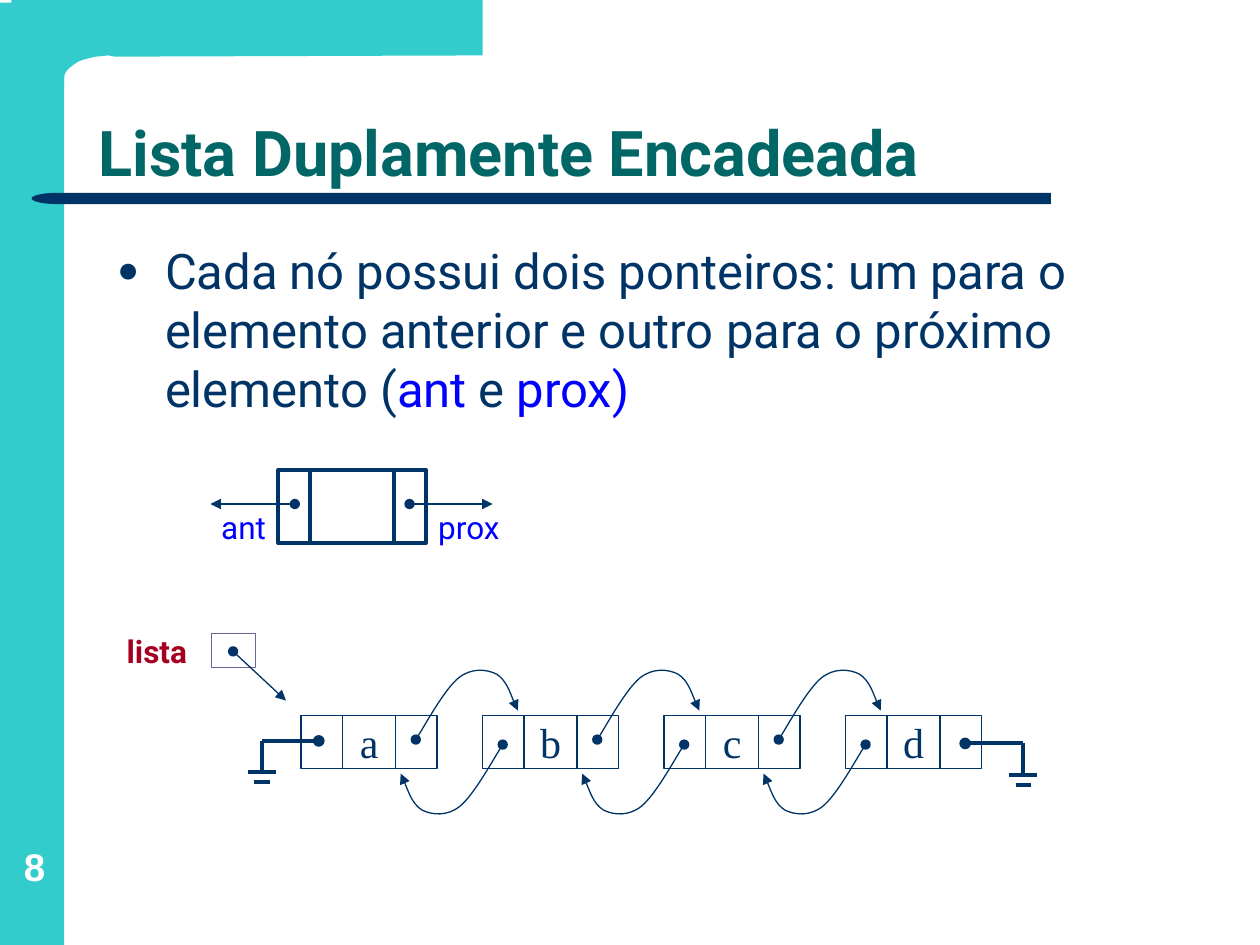
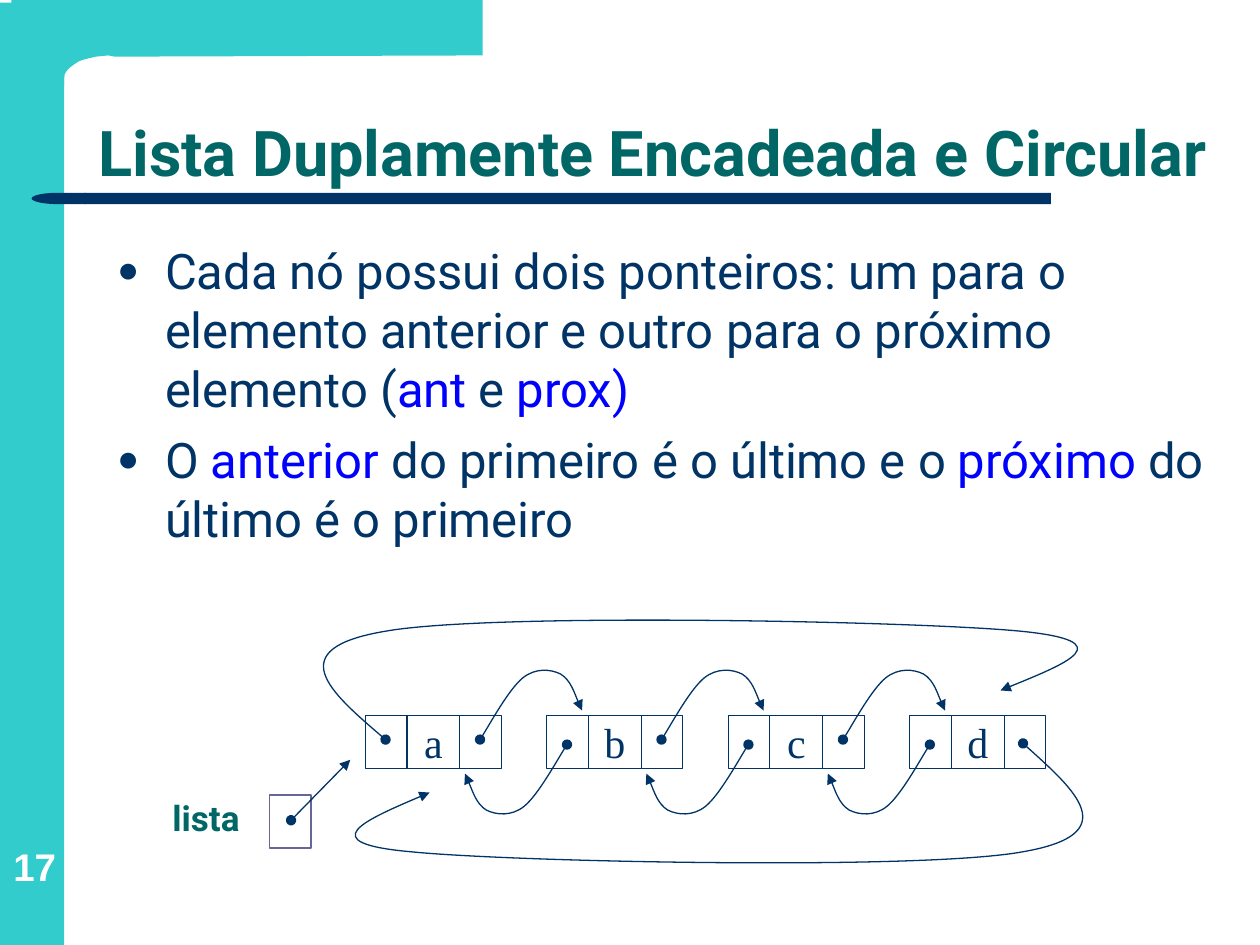
import dataclasses
import typing

import lxml.etree
import pptx
import pptx.dml.color
import pptx.enum.shapes
import pptx.enum.text
import pptx.oxml.ns
import pptx.shapes.autoshape
import pptx.slide
import pptx.text.text
import pptx.util

SCALE = 9144
HUES = {
    "aqua": "33CCCC",
    "navy": "003366",
    "teal": "006666",
    "blue": "0000FF",
    "red": "A50021",
    "mauve": "666699",
    "white": "FFFFFF",
}
FONT = "Roboto"
FORM = pptx.enum.shapes.MSO_SHAPE
SIDE = pptx.enum.text.PP_ALIGN
HOLD = pptx.enum.text.MSO_ANCHOR
qn = pptx.oxml.ns.qn

Point = tuple[int, int]
Step = tuple[Point, ...]

NODE_TOP = 568
NODE_TALL = 42
NODE_GAP = 144
END_WIDE = 33
MID_WIDE = 42
NODE_WIDE = 2 * END_WIDE + MID_WIDE
NEXT_ARC: list[Step] = [
    ((91, 587),),
    ((97, 578), (114, 547), (125, 538)),
    ((135, 530), (147, 531), (155, 535)),
    ((163, 540), (169, 558), (172, 564)),
]
PRIOR_ARC: list[Step] = [tuple((107 - x, 1178 - y) for x, y in step) for step in NEXT_ARC]
CORNER: list[Step] = [
    ((383, 0),), ((383, 44),), ((91, 45),), ((86, 44),), ((76, 45),),
    ((72, 46), (66, 47), (62, 49)),
    ((59, 51), (56, 53), (54, 55)),
    ((52, 57), (51, 59), (51, 62)),
    ((51, 68),), ((9, 68),), ((9, 0),), ((383, 0),),
]
TOP_LOOP: list[Step] = [
    ((306, 587),),
    ((264, 551), (222, 515), (306, 501)),
    ((390, 486), (728, 493), (810, 501)),
    ((891, 509), (843, 528), (794, 548)),
]
LOW_LOOP: list[Step] = [
    ((812, 590),),
    ((852, 626), (893, 662), (812, 676)),
    ((731, 691), (404, 684), (326, 676)),
    ((247, 669), (294, 649), (341, 629)),
]
FIELDS = "Cada nó possui dois ponteiros: um para o elemento anterior e outro para o próximo elemento (|ant| e |prox)"
RING = "O |anterior| do primeiro é o último e o |próximo| do último é o primeiro"


@dataclasses.dataclass
class Box:
    x: int
    y: int
    wide: int
    tall: int

    def emu(self) -> list[int]:
        return [n * SCALE for n in dataclasses.astuple(self)]


@dataclasses.dataclass
class Style:
    size: int
    hue: str = "navy"
    font: str = FONT
    bold: bool = False
    side: typing.Any = SIDE.CENTER


@dataclasses.dataclass
class Label:
    text: str
    box: Box
    style: Style


@dataclasses.dataclass
class Page:
    title: str
    points: list[str]
    tall: int
    number: str
    draw: typing.Callable[[pptx.slide.Slide], None]


def paint(hue: str) -> pptx.dml.color.RGBColor:
    return pptx.dml.color.RGBColor.from_string(HUES[hue])


def dress(run: typing.Any, style: Style) -> None:
    run.font.size = pptx.util.Pt(style.size)
    run.font.name = style.font
    run.font.bold = style.bold
    run.font.color.rgb = paint(style.hue)


def write(frame: pptx.text.text.TextFrame, text: str, style: Style) -> None:
    frame.text = text
    frame.paragraphs[0].alignment = style.side
    dress(frame.paragraphs[0].runs[0], style)


def label(slide: pptx.slide.Slide, item: Label, wrap: bool = True) -> pptx.text.text.TextFrame:
    frame = slide.shapes.add_textbox(*item.box.emu()).text_frame
    frame.word_wrap = wrap
    write(frame, item.text, item.style)
    return frame


def block(slide: pptx.slide.Slide, box: Box, fill: str = "", line: str = "",
          weight: float = 0.75, form: typing.Any = FORM.RECTANGLE) -> pptx.shapes.autoshape.Shape:
    shape = slide.shapes.add_shape(form, *box.emu())
    finish(shape, fill, line, weight)
    return shape


def finish(shape: pptx.shapes.autoshape.Shape, fill: str, line: str, weight: float = 0.75) -> None:
    shape.shadow.inherit = False
    if fill:
        shape.fill.solid()
        shape.fill.fore_color.rgb = paint(fill)
    else:
        shape.fill.background()
    if line:
        shape.line.color.rgb = paint(line)
        shape.line.width = pptx.util.Pt(weight)
    else:
        shape.line.fill.background()


def tips(shape: typing.Any, head: str, tail: str) -> None:
    stroke = shape.element.spPr.get_or_add_ln()
    for tag, kind in (("a:headEnd", head), ("a:tailEnd", tail)):
        if kind:
            lxml.etree.SubElement(stroke, qn(tag)).set("type", kind)


def wire(slide: pptx.slide.Slide, start: Point, end: Point, weight: float = 0.75,
         head: str = "", tail: str = "") -> None:
    ends = [n * SCALE for n in (*start, *end)]
    line = slide.shapes.add_connector(pptx.enum.shapes.MSO_CONNECTOR.STRAIGHT, *ends)
    line.line.color.rgb = paint("navy")
    line.line.width = pptx.util.Pt(weight)
    tips(line, head, tail)
    lxml.etree.SubElement(line.element.spPr, qn("a:effectLst"))


def arrow(slide: pptx.slide.Slide, start: Point, end: Point) -> None:
    wire(slide, start, end, head="oval", tail="triangle")


def outline(slide: pptx.slide.Slide, steps: list[Step], shift: int = 0,
            close: bool = False) -> pptx.shapes.autoshape.Shape:
    dots = [(x + shift, y) for step in steps for x, y in step]
    pen = slide.shapes.build_freeform(*dots[0], scale=SCALE)
    pen.add_line_segments(dots[1:], close=close)
    shape = pen.convert_to_shape()
    marks = iter(list(shape.element.iter(qn("a:lnTo"))))
    for step in steps[1:]:
        parts = [next(marks) for _ in step]
        if len(parts) == 3:
            bend = lxml.etree.Element(qn("a:cubicBezTo"))
            parts[0].addprevious(bend)
            for part in parts:
                bend.append(part[0])
                part.getparent().remove(part)
    return shape


def curve(slide: pptx.slide.Slide, steps: list[Step], shift: int = 0) -> None:
    shape = outline(slide, steps, shift)
    finish(shape, "", "navy")
    tips(shape, "oval", "triangle")


def chain(slide: pptx.slide.Slide, left: int) -> None:
    for i, name in enumerate("abcd"):
        x = left + i * NODE_GAP
        for edge in (x, x + END_WIDE + MID_WIDE):
            block(slide, Box(edge, NODE_TOP, END_WIDE, NODE_TALL), line="navy")
        core = block(slide, Box(x + END_WIDE, NODE_TOP, MID_WIDE, NODE_TALL), line="navy")
        core.text_frame.word_wrap = False
        core.text_frame.vertical_anchor = HOLD.MIDDLE
        write(core.text_frame, name, Style(24, font="Times New Roman"))
        if i < 3:
            curve(slide, NEXT_ARC, x)
        if i > 0:
            curve(slide, PRIOR_ARC, x)


def ground(slide: pptx.slide.Slide, dot: int, post: int, y: int) -> None:
    wire(slide, (dot, y), (post, y), 2.25, head="oval")
    wire(slide, (post, y), (post, y + 25), 2.25)
    for half, drop in ((11, 25), (6, 33)):
        wire(slide, (post - half, y + drop), (post + half, y + drop), 2.25)


def draw_open(slide: pptx.slide.Slide) -> None:
    block(slide, Box(221, 373, 117, 58), line="navy", weight=2.25)
    for x in (246, 313):
        wire(slide, (x, 373), (x, 431), 2.25)
    arrow(slide, (325, 400), (391, 400))
    arrow(slide, (234, 400), (167, 400))
    for text, x, side in (("prox", 338, SIDE.LEFT), ("ant", 138, SIDE.RIGHT)):
        frame = label(slide, Label(text, Box(x, 398, 83, 40), Style(18, "blue", side=side)))
        frame.paragraphs[0].space_before = pptx.util.Pt(11.2)
    chain(slide, 239)
    block(slide, Box(168, 503, 35, 27), line="mauve")
    label(slide, Label("lista", Box(88, 497, 73, 40), Style(18, "red", bold=True)), False)
    arrow(slide, (185, 517), (227, 556))
    ground(slide, 766, 812, 590)
    ground(slide, 253, 208, 588)


def draw_ring(slide: pptx.slide.Slide) -> None:
    chain(slide, 290)
    block(slide, Box(214, 631, 33, 42), line="mauve")
    label(slide, Label("lista", Box(124, 627, 79, 44), Style(20, "teal", bold=True)), False)
    curve(slide, TOP_LOOP)
    curve(slide, LOW_LOOP)
    arrow(slide, (231, 651), (278, 603))


def place(shape: typing.Any, box: Box) -> None:
    shape.left, shape.top, shape.width, shape.height = box.emu()
    shape.text_frame.word_wrap = True
    shape.text_frame.auto_size = pptx.enum.text.MSO_AUTO_SIZE.NONE


def bullet(para: typing.Any, text: str) -> None:
    para.alignment = SIDE.LEFT
    para.space_before = pptx.util.Pt(7)
    props = para._p.get_or_add_pPr()
    props.set("marL", str(38 * SCALE))
    props.set("indent", str(-38 * SCALE))
    tint = lxml.etree.SubElement(props, qn("a:buClr"))
    lxml.etree.SubElement(tint, qn("a:srgbClr")).set("val", HUES["navy"])
    for tag, key, value in (("a:buSzPct", "val", "75000"), ("a:buFont", "typeface", "Arial"),
                            ("a:buChar", "char", "●")):
        lxml.etree.SubElement(props, qn(tag)).set(key, value)
    for i, part in enumerate(text.split("|")):
        run = para.add_run()
        run.text = part
        dress(run, Style(28, "blue" if i % 2 else "navy"))


def frame_up(slide: pptx.slide.Slide, layout: pptx.slide.SlideLayout) -> None:
    rail = block(slide, Box(0, 2, 51, 748), fill="aqua")
    corner = outline(slide, CORNER, close=True)
    finish(corner, "aqua", "")
    rule = block(slide, Box(67, 153, 767, 9), fill="navy")
    point = block(slide, Box(25, 153, 43, 9), fill="navy", form=FORM.FLOWCHART_DELAY)
    point.rotation = 180
    for shape in (rail, corner, rule, point):
        layout.element.cSld.spTree.append(shape.element)


def fill_page(slide: pptx.slide.Slide, page: Page) -> None:
    title, body = slide.shapes.title, slide.placeholders[1]
    place(title, Box(68, 47, 901, 109))
    title.text_frame.vertical_anchor = HOLD.BOTTOM
    write(title.text_frame, page.title, Style(36, "teal", bold=True, side=SIDE.LEFT))
    title.text_frame.paragraphs[0].line_spacing = 0.9
    place(body, Box(83, 186, 888, page.tall))
    for i, text in enumerate(page.points):
        bullet(body.text_frame.add_paragraph() if i else body.text_frame.paragraphs[0], text)
    mark = label(slide, Label(page.number, Box(3, 652, 49, 54), Style(22, "white", "Arial", True)))
    mark.margin_left = mark.margin_right = mark.margin_top = mark.margin_bottom = 0
    mark.vertical_anchor = HOLD.BOTTOM
    page.draw(slide)


def main() -> None:
    deck = pptx.Presentation()
    deck.slide_width, deck.slide_height = 1000 * SCALE, 750 * SCALE
    layout = deck.slide_layouts[1]
    pages = [
        Page("Lista Duplamente Encadeada", [FIELDS], 228, "8", draw_open),
        Page("Lista Duplamente Encadeada e Circular", [FIELDS, RING], 276, "17", draw_ring),
    ]
    for i, page in enumerate(pages):
        slide = deck.slides.add_slide(layout)
        if i == 0:
            frame_up(slide, layout)
        fill_page(slide, page)
    deck.save("out.pptx")


if __name__ == "__main__":
    main()
